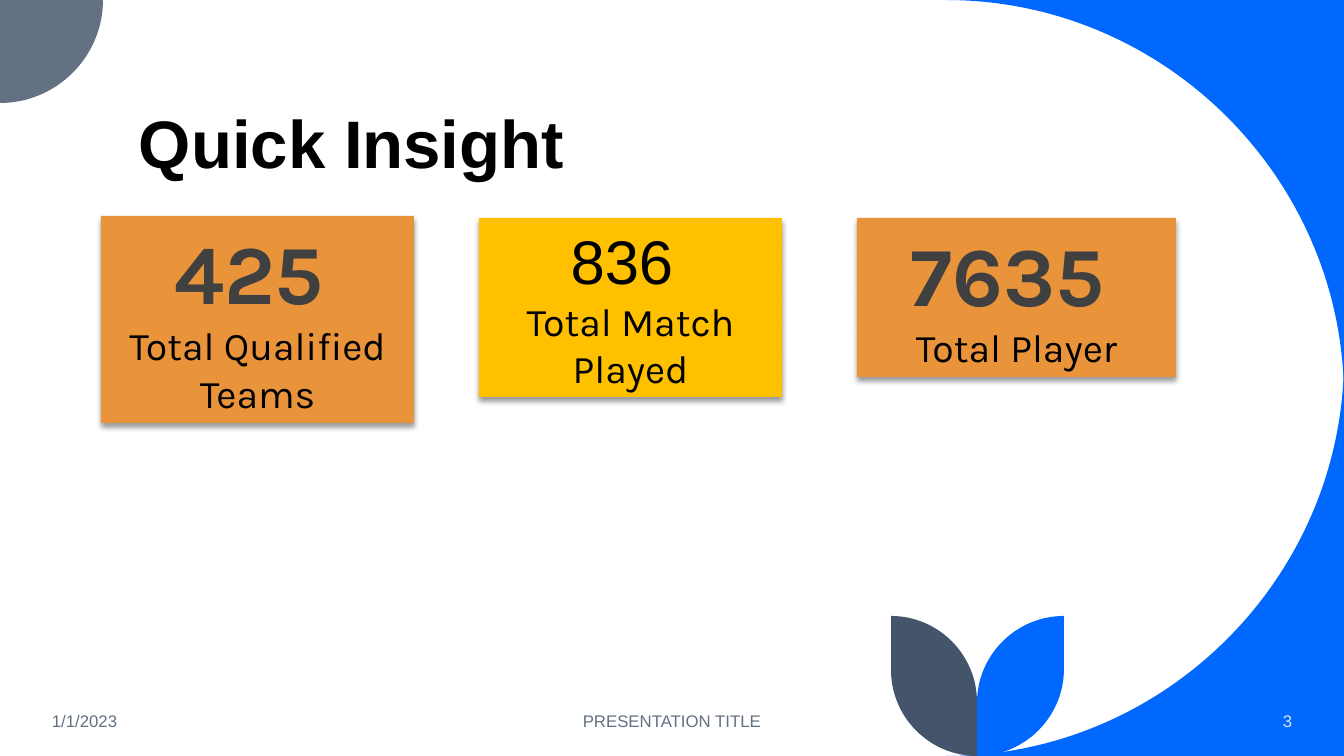
"""Build the Quick Insight slide with three headline totals."""
from dataclasses import dataclass
from math import cos, radians, sin

from lxml.etree import SubElement
from pptx import Presentation
from pptx.dml.color import RGBColor
from pptx.enum.shapes import MSO_SHAPE
from pptx.enum.text import MSO_ANCHOR, MSO_AUTO_SIZE, PP_ALIGN
from pptx.oxml.ns import qn
from pptx.shapes.shapetree import GroupShapes, SlideShapes
from pptx.text.text import _Run
from pptx.util import Emu, Pt

EMU_PER_PX = 914400 / 100.8
ARC_PULL = 0.55
BLACK = RGBColor(0x00, 0x00, 0x00)
CHARCOAL = RGBColor(0x40, 0x40, 0x40)
SLATE = RGBColor(0x63, 0x71, 0x83)
NAVY = RGBColor(0x44, 0x54, 0x6A)
BLUE = RGBColor(0x00, 0x68, 0xFF)
PALE = RGBColor(0xDA, 0xE5, 0xEF)
ORANGE = RGBColor(0xE9, 0x94, 0x3A)
AMBER = RGBColor(0xFF, 0xC0, 0x00)


@dataclass(frozen=True)
class Quarter:
    """A quarter circle running clockwise from a start angle."""
    x: int
    y: int
    radius: int
    start: int

    def points(self) -> list[tuple[float, float]]:
        """Give the start, the two handles and the end of the curve."""
        c, s = cos(radians(self.start)), sin(radians(self.start))
        weights = ((1, 0), (1, ARC_PULL), (ARC_PULL, 1), (0, 1))
        return [(self.x + self.radius * (a * c - b * s),
                 self.y + self.radius * (a * s + b * c)) for a, b in weights]


@dataclass(frozen=True)
class Petal:
    """A filled outline of corners followed by quarter circles."""
    fill: RGBColor
    quarters: tuple[Quarter, ...]
    corners: tuple[tuple[int, int], ...] = ()


@dataclass(frozen=True)
class Caption:
    """A single line of text in a box."""
    text: str
    box: tuple[int, int, int, int]
    size: int
    color: RGBColor
    align: PP_ALIGN
    anchor: MSO_ANCHOR = MSO_ANCHOR.MIDDLE
    bold: bool = False
    line_spacing: float | None = None


@dataclass(frozen=True)
class Card:
    """A total with its label."""
    total: str
    label: str
    box: tuple[int, int, int, int]
    fill: RGBColor
    emphasized: bool = True


CORNERS = (
    Petal(BLUE, (Quarter(946, 398, 398, 270),), ((1344, 0),)),
    Petal(BLUE, (Quarter(946, 358, 398, 0),), ((1344, 756),)),
    Petal(SLATE, (Quarter(0, 0, 103, 0),), ((0, 0),)),
)
LEAVES = (
    Petal(BLUE, (Quarter(977, 669, 87, 0), Quarter(1064, 703, 87, 180))),
    Petal(NAVY, (Quarter(977, 670, 86, 90), Quarter(891, 702, 86, 270))),
)
CAPTIONS = (
    Caption("Quick Insight", (129, 42, 1078, 146), 48, BLACK, PP_ALIGN.LEFT,
            MSO_ANCHOR.BOTTOM, True, 0.9),
    Caption("1/1/2023", (42, 701, 302, 40), 12, SLATE, PP_ALIGN.LEFT),
    Caption("PRESENTATION TITLE", (445, 701, 454, 40), 12, SLATE, PP_ALIGN.CENTER),
    Caption("3", (1119, 701, 183, 40), 12, PALE, PP_ALIGN.RIGHT),
)
CARDS = (
    Card("836 ", "Total Match Played", (479, 218, 303, 179), AMBER, False),
    Card("7635", "Total Player", (857, 218, 319, 159), ORANGE),
    Card("425", "Total Qualified Teams", (101, 216, 313, 207), ORANGE),
)


def px(length: float) -> Emu:
    """Turn px into EMU."""
    return Emu(round(length * EMU_PER_PX))


def style(run: _Run, size: int, font: str, color: RGBColor, bold: bool = False) -> None:
    """Format one run."""
    run.font.size = Pt(size)
    run.font.name = font
    run.font.bold = bold
    run.font.color.rgb = color


def draw_petal(shapes: SlideShapes | GroupShapes, petal: Petal) -> None:
    """Draw an outline and bend its quarter circles into curves."""
    points = list(petal.corners)
    for quarter in petal.quarters:
        points += quarter.points()
    first, *others = [(px(x), px(y)) for x, y in points]
    builder = shapes.build_freeform(*first)
    builder.add_line_segments(others, close=True)
    outline = builder.convert_to_shape()
    outline.shadow.inherit = False
    outline.fill.solid()
    outline.fill.fore_color.rgb = petal.fill
    outline.line.fill.background()

    segments = list(outline.element.iter(qn("a:lnTo")))
    for index in range(len(petal.quarters)):
        begin = len(petal.corners) + 4 * index
        bend = segments[begin:begin + 3]
        curve = SubElement(bend[0].getparent(), qn("a:cubicBezTo"))
        bend[0].addprevious(curve)
        for segment in bend:
            curve.append(segment[0])
            segment.getparent().remove(segment)


def draw_caption(shapes: SlideShapes, caption: Caption) -> None:
    """Draw a text box."""
    frame = shapes.add_textbox(*map(px, caption.box)).text_frame
    frame.word_wrap = True
    frame.vertical_anchor = caption.anchor
    frame.text = caption.text
    line = frame.paragraphs[0]
    line.alignment = caption.align
    line.line_spacing = caption.line_spacing
    style(line.runs[0], caption.size, "Arial", caption.color, caption.bold)


def draw_card(shapes: SlideShapes, card: Card) -> None:
    """Draw a shadowed card with its total and label."""
    panel = shapes.add_shape(MSO_SHAPE.RECTANGLE, *map(px, card.box))
    panel.fill.solid()
    panel.fill.fore_color.rgb = card.fill
    panel.line.fill.background()
    panel.shadow.inherit = False
    effects = panel.element.spPr.find(qn("a:effectLst"))
    shadow = SubElement(effects, qn("a:outerShdw"), blurRad=str(Pt(4)), dist=str(Pt(3)),
                        dir="5400000", algn="t", rotWithShape="0")
    shade = SubElement(shadow, qn("a:srgbClr"), val=str(BLACK))
    SubElement(shade, qn("a:alpha"), val="40000")

    frame = panel.text_frame
    frame.word_wrap = True
    frame.auto_size = MSO_AUTO_SIZE.SHAPE_TO_FIT_TEXT
    frame.vertical_anchor = MSO_ANCHOR.TOP
    frame.text = card.total
    total = frame.paragraphs[0]
    if card.emphasized:
        style(total.runs[0], 60, "Karla", CHARCOAL, True)
        gap = total.add_run()
        gap.text = " "
        style(gap, 44, "Arial", BLACK)
    else:
        style(total.runs[0], 44, "Arial", BLACK)
    label = frame.add_paragraph()
    label.text = card.label
    style(label.runs[0], 28, "Karla", BLACK)
    for line in frame.paragraphs:
        line.alignment = PP_ALIGN.CENTER


def main() -> None:
    """Build and save the slide."""
    deck = Presentation()
    deck.slide_width, deck.slide_height = px(1344), px(756)
    shapes = deck.slides.add_slide(deck.slide_layouts[6]).shapes
    for corner in CORNERS:
        draw_petal(shapes, corner)
    sprout = shapes.add_group_shape().shapes
    for leaf in LEAVES:
        draw_petal(sprout, leaf)
    for caption in CAPTIONS:
        draw_caption(shapes, caption)
    for card in CARDS:
        draw_card(shapes, card)
    deck.save("out.pptx")


if __name__ == "__main__":
    main()
